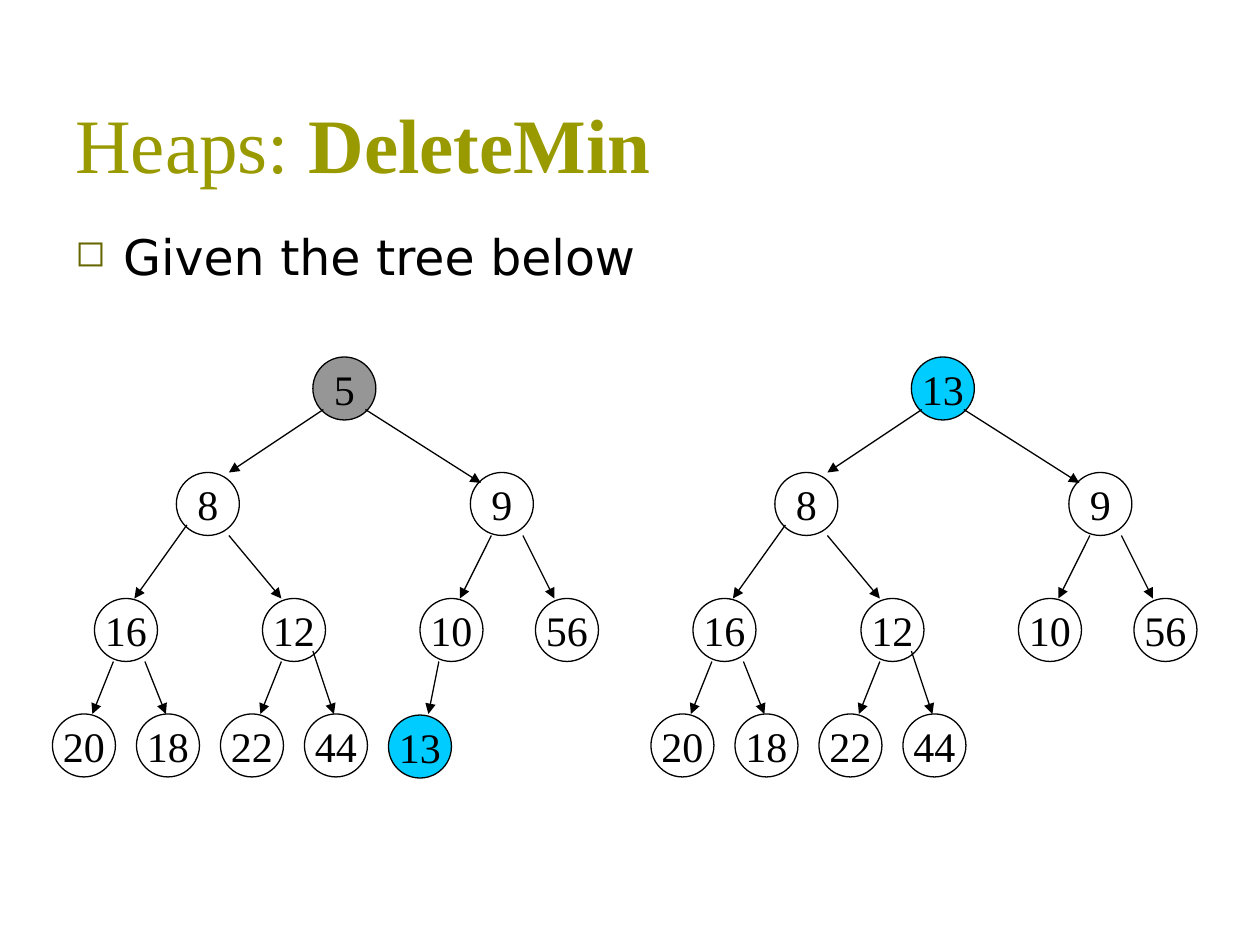
from lxml import etree
from pptx import Presentation
from pptx.dml.color import RGBColor
from pptx.enum.shapes import MSO_CONNECTOR, MSO_SHAPE
from pptx.enum.text import MSO_ANCHOR, PP_ALIGN
from pptx.oxml.ns import qn
from pptx.util import Inches, Pt

OVAL = MSO_SHAPE.OVAL
LINE = MSO_CONNECTOR.STRAIGHT
MIDDLE, BOTTOM = MSO_ANCHOR.MIDDLE, MSO_ANCHOR.BOTTOM
CENTER = PP_ALIGN.CENTER
SERIF, SANS = "Times New Roman", "DejaVu Sans"
COLORS = {"title": "999900", "bullet": "666600", "ink": "000000",
          "gone": "969696", "moved": "00CCFF"}
HUE = {name: RGBColor.from_string(code) for name, code in COLORS.items()}

deck = Presentation()
deck.slide_width, deck.slide_height = Inches(10), Inches(7.5)
slide = deck.slides.add_slide(deck.slide_layouts[6])

# The slide is a grid of 120 columns and 90 rows
UNIT = deck.slide_width / 120
NODE = 6
SHIFT = 57


def grid(*cells):
    return [round(cell * UNIT) for cell in cells]


def style(run, font, size, color):
    run.font.name, run.font.size = font, Pt(size)
    run.font.color.rgb = HUE[color]


# Title
title = slide.shapes.add_textbox(*grid(6, 3.6, 108, 15)).text_frame
title.word_wrap = True
title.vertical_anchor = BOTTOM
for text, bold in (("Heaps: ", False), ("DeleteMin", True)):
    run = title.paragraphs[0].add_run()
    run.text = text
    style(run, SERIF, 44, "title")
    run.font.bold = bold

# Bulleted line
body = slide.shapes.add_textbox(*grid(6, 21, 108, 59.4)).text_frame
body.word_wrap = True
body.text = "Given the tree below"
para = body.paragraphs[0]
props = para._p.get_or_add_pPr()
props.set("marL", str(Inches(0.38)))
props.set("indent", str(-Inches(0.38)))
tint = etree.SubElement(props, qn("a:buClr"))
etree.SubElement(tint, qn("a:srgbClr"), val=COLORS["bullet"])
etree.SubElement(props, qn("a:buSzPct"), val="75000")
etree.SubElement(props, qn("a:buChar"), char="◻")
style(para.runs[0], SANS, 28, "ink")

# Nodes below the root: label, column, row
nodes = [("8", 16.8, 45), ("9", 44.8, 45),
         ("16", 9, 57), ("12", 25, 57), ("10", 40, 57), ("56", 51, 57),
         ("20", 5, 68), ("18", 13, 68), ("22", 21, 68), ("44", 29, 68)]
# Arrows: start column and row, end column and row
edges = [(30.8, 39, 21.8, 45), (34.8, 39, 45.8, 46),
         (17.8, 50, 12.8, 57), (21.8, 51, 26.8, 57),
         (46.8, 51, 43.8, 57), (49.8, 51, 52.8, 57),
         (10.8, 63, 8.8, 68), (13.8, 63, 15.8, 68),
         (26.8, 63, 24.8, 68), (29.8, 62, 31.8, 68)]
before = slide.shapes.add_group_shape().shapes
trees = [
    (before, 0, {"5": "gone", "13": "moved"},
     [("5", 29.8, 34), *nodes, ("13", 37, 68.1)],
     [*edges, (41.8, 63, 40.8, 68)]),
    (slide.shapes, SHIFT, {"13": "moved"},
     [("13", 29.8, 34), *nodes], edges),
]

# Heap before and after the last key moves to the root
for home, left, fills, keys, links in trees:
    for label, col, row in keys:
        node = home.add_shape(OVAL, *grid(col + left, row, NODE, NODE))
        node.shadow.inherit = False
        if label in fills:
            node.fill.solid()
            node.fill.fore_color.rgb = HUE[fills[label]]
        else:
            node.fill.background()
        node.line.color.rgb = HUE["ink"]
        node.line.width = Pt(0.75)
        frame = node.text_frame
        frame.word_wrap = False
        frame.vertical_anchor = MIDDLE
        frame.text = label
        frame.paragraphs[0].alignment = CENTER
        style(frame.paragraphs[0].runs[0], SERIF, 24, "ink")
    for x1, y1, x2, y2 in links:
        arrow = home.add_connector(LINE, *grid(x1 + left, y1, x2 + left, y2))
        arrow.line.color.rgb = HUE["ink"]
        arrow.line.width = Pt(0.75)
        etree.SubElement(arrow.line._get_or_add_ln(), qn("a:tailEnd"),
                         type="triangle")
        etree.SubElement(arrow._element.spPr, qn("a:effectLst"))

deck.save("out.pptx")
